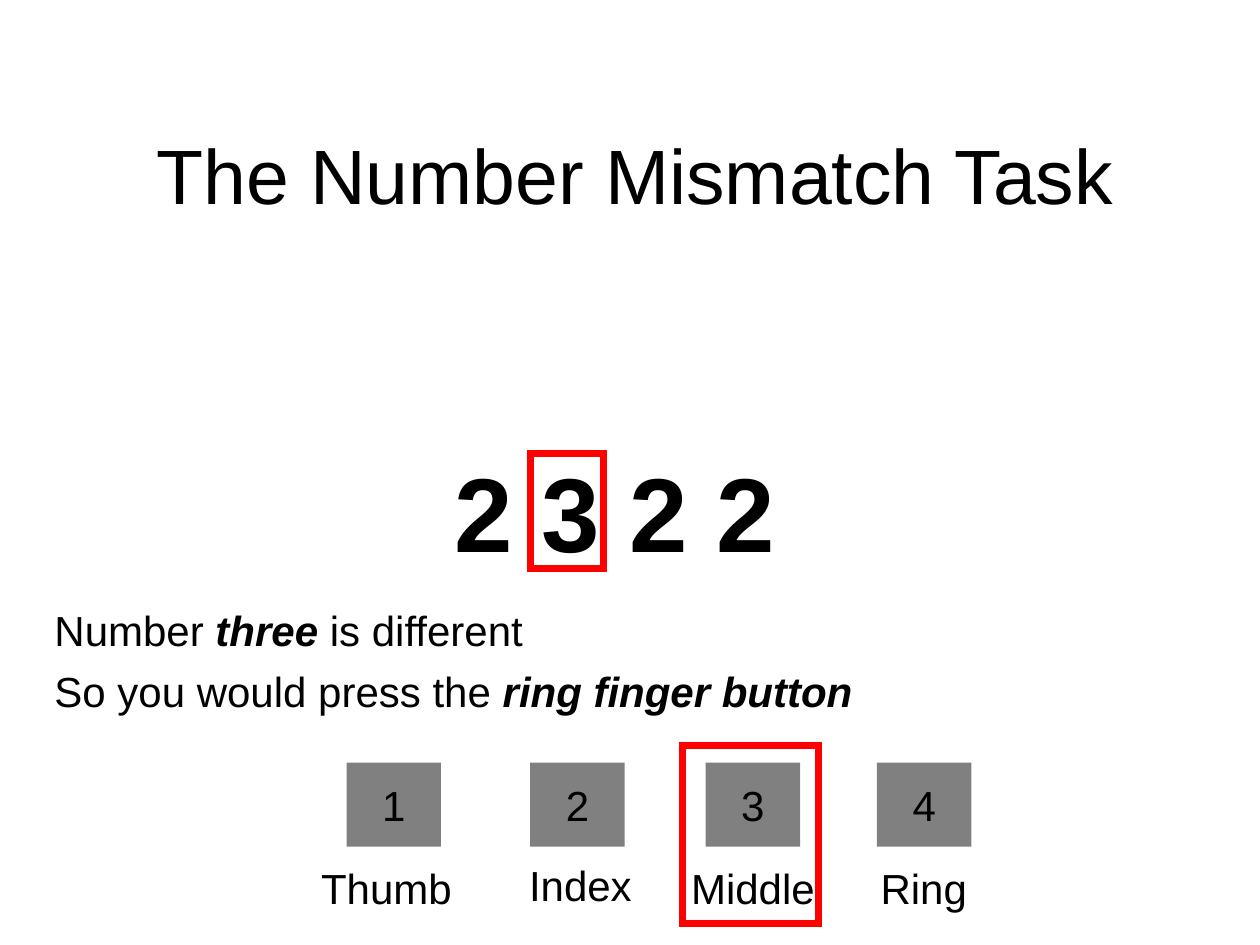
from dataclasses import dataclass

from lxml import etree
from pptx import Presentation
from pptx.dml.color import RGBColor
from pptx.enum.shapes import MSO_SHAPE
from pptx.enum.text import MSO_ANCHOR, MSO_AUTO_SIZE, PP_ALIGN
from pptx.oxml.ns import qn
from pptx.util import Pt

RECTANGLE = MSO_SHAPE.RECTANGLE
TOP, MIDDLE = MSO_ANCHOR.TOP, MSO_ANCHOR.MIDDLE
LEFT, CENTER = PP_ALIGN.LEFT, PP_ALIGN.CENTER
GROW = MSO_AUTO_SIZE.SHAPE_TO_FIT_TEXT


@dataclass(frozen=True)
class Theme:
    font: str = "Arial"
    ink: RGBColor = RGBColor(0, 0, 0)
    button: RGBColor = RGBColor(0x80, 0x80, 0x80)
    highlight: RGBColor = RGBColor(0xFF, 0, 0)
    title_size: int = 44
    body_size: int = 24
    digit_size: int = 60
    highlight_width: int = 4


THEME = Theme()
BUTTON_TOP, BUTTON_WIDTH, BUTTON_HEIGHT = 435.8, 54, 48
LABEL_HEIGHT = 36
FINGERS = [
    ("1", 198, "Thumb", 176.4, 489.2, 92),
    ("2", 303, "Index", 295.2, 487.4, 76),
    ("3", 403.2, "Middle", 387.8, 489.2, 88),
    ("4", 501.1, "Ring", 496.1, 489.2, 67),
]
EXPLANATION = [
    [("Number ", False), ("three ", True), ("is different", False)],
    [("So you would press the ", False), ("ring finger button", True)],
]


def in_points(*lengths):
    return [Pt(length) for length in lengths]


def add_run(paragraph, wording, size, bold=False, italic=False):
    run = paragraph.add_run()
    run.text = wording
    run.font.name = THEME.font
    run.font.size = Pt(size)
    run.font.color.rgb = THEME.ink
    run.font.bold = bold
    run.font.italic = italic


def add_text_frame(slide, bounds, wrap=True, anchor=TOP):
    frame = slide.shapes.add_textbox(*in_points(*bounds)).text_frame
    frame.word_wrap = wrap
    frame.vertical_anchor = anchor
    return frame


def add_line(slide, bounds, wording, size, bold=False, wrap=True,
             anchor=TOP, align=LEFT, space_before=0, grow=False):
    frame = add_text_frame(slide, bounds, wrap, anchor)
    if grow:
        frame.auto_size = GROW
    paragraph = frame.paragraphs[0]
    paragraph.alignment = align
    paragraph.space_before = Pt(space_before)
    add_run(paragraph, wording, size, bold)


def add_explanation(slide, bounds):
    frame = add_text_frame(slide, bounds)
    for index, sentence in enumerate(EXPLANATION):
        paragraph = frame.add_paragraph() if index else frame.paragraphs[0]
        paragraph.space_before = Pt(6)
        for wording, stressed in sentence:
            add_run(paragraph, wording, THEME.body_size, stressed, stressed)


def add_highlight(slide, bounds):
    outline = slide.shapes.add_shape(RECTANGLE, *in_points(*bounds))
    outline.shadow.inherit = False
    outline.fill.background()
    outline.line.color.rgb = THEME.highlight
    outline.line.width = Pt(THEME.highlight_width)
    stroke = outline.line.fill._xPr
    etree.SubElement(stroke, qn("a:miter"), lim="800000")


def add_button(slide, left, digit):
    button = slide.shapes.add_shape(
        RECTANGLE, *in_points(left, BUTTON_TOP, BUTTON_WIDTH, BUTTON_HEIGHT))
    button.shadow.inherit = False
    button.fill.solid()
    button.fill.fore_color.rgb = THEME.button
    button.line.fill.background()
    frame = button.text_frame
    frame.word_wrap = False
    frame.vertical_anchor = MIDDLE
    paragraph = frame.paragraphs[0]
    paragraph.alignment = CENTER
    add_run(paragraph, digit, THEME.body_size)


def main():
    deck = Presentation()
    deck.slide_width, deck.slide_height = in_points(720, 540)
    slide = deck.slides.add_slide(deck.slide_layouts[6])

    add_highlight(slide, (303, 259, 42, 66))
    add_line(slide, (24, 54, 678, 90), "The Number Mismatch Task",
             THEME.title_size, anchor=MIDDLE, align=CENTER)
    add_explanation(slide, (24, 342, 636, 84))
    add_highlight(slide, (390, 426, 78, 102))
    for digit, button_left, finger, left, top, width in FINGERS:
        add_button(slide, button_left, digit)
        add_line(slide, (left, top, width, LABEL_HEIGHT), finger,
                 THEME.body_size, wrap=False, grow=True)
    add_line(slide, (252.5, 252, 198, 79.2), "2 3 2 2", THEME.digit_size,
             bold=True, space_before=37.5, grow=True)

    deck.save("out.pptx")


if __name__ == "__main__":
    main()
